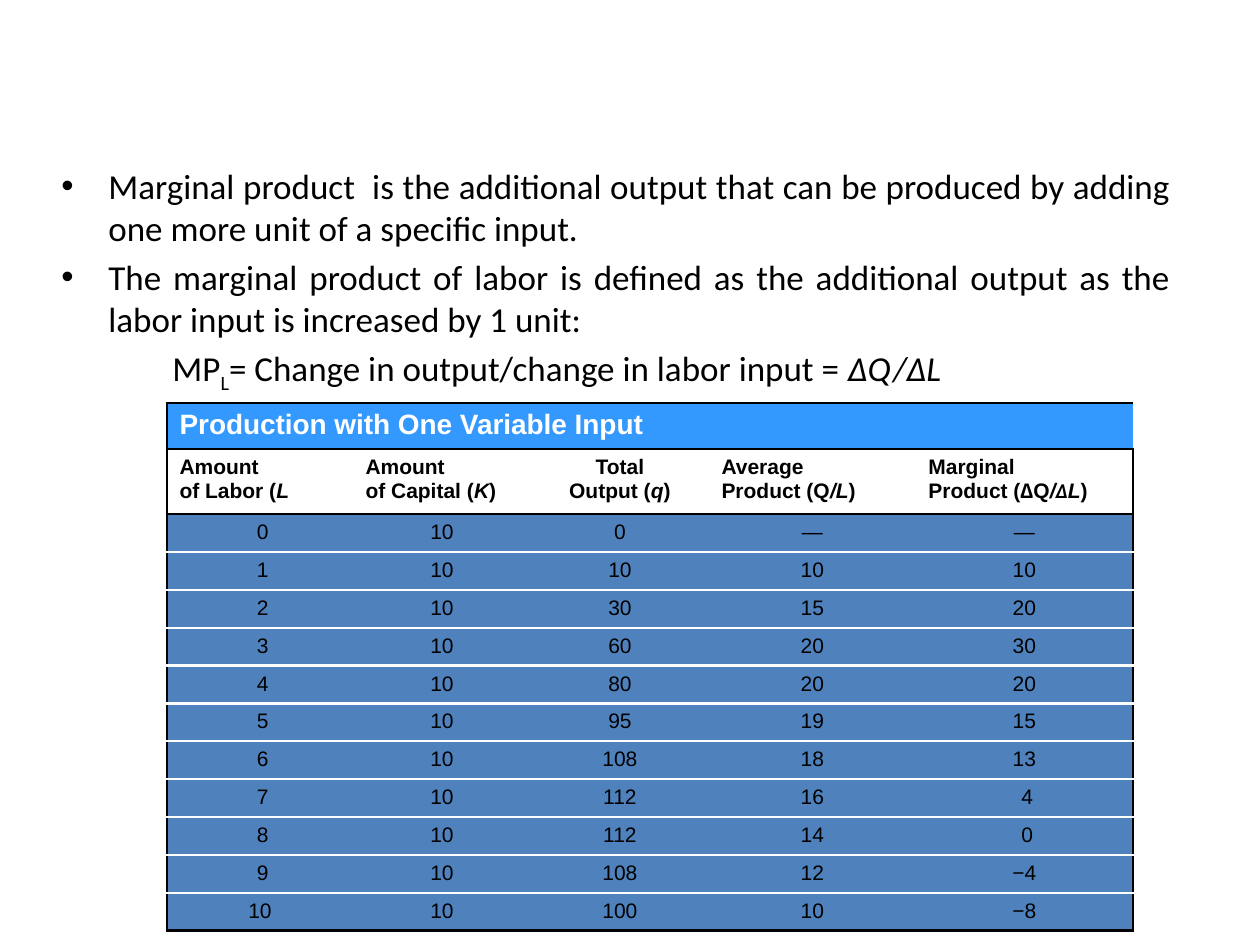
from dataclasses import dataclass

from lxml import etree
from pptx import Presentation, util as u
from pptx.dml.color import RGBColor
from pptx.enum import text
from pptx.oxml import ns

PX = u.Inches(1) // 126
PLAIN_TABLE_STYLE = "{2D5ABB26-0587-4C30-8999-92F81FD0307C}"


@dataclass(frozen=True)
class Theme:
    black: str = "000000"
    white: str = "FFFFFF"
    title_blue: str = "3399FF"
    body_blue: str = "4F81BD"
    prose_font: str = "Calibri"
    table_font: str = "Arial"
    prose_size: int = 20
    title_size: int = 16
    cell_size: int = 12


THEME = Theme()
PROSE = dict(name=THEME.prose_font, size=u.Pt(THEME.prose_size), color=THEME.black)
CELL = dict(name=THEME.table_font, size=u.Pt(THEME.cell_size), color=THEME.black)
HEADING = CELL | dict(bold=True)
TITLE = HEADING | dict(size=u.Pt(THEME.title_size), color=THEME.white)
ITALIC = dict(italic=True)

# Each run is a pair of wording and the format values that differ
DEFINITIONS = [
    "Marginal product  is the additional output that can be produced by adding "
    "one more unit of a specific input.",
    "The marginal product of labor is defined as the additional output as the "
    "labor input is increased by 1 unit:",
]
FORMULA = [("MP", {}), ("L", dict(baseline=-25000)),
           ("= Change in output/change in labor input = ", {}), ("ΔQ/ΔL", ITALIC)]

TABLE_TITLE = "Production with One Variable Input"
HEADINGS = [
    ("Amount", [("of Labor (", {}), ("L", ITALIC)]),
    ("Amount", [("of Capital (", {}), ("K", ITALIC), (")", {})]),
    ("Total", [("Output (", {}), ("q", ITALIC), (")", {})]),
    ("Average", [("Product (Q", {}), ("/L", ITALIC), (")", {})]),
    ("Marginal", [("Product (∆Q", {}), ("/", ITALIC),
                  ("∆", ITALIC | dict(name=THEME.prose_font)), ("L", ITALIC), (")", {})]),
]
CAPITAL = "10"
TOTAL = [0, 10, 30, 60, 80, 95, 108, 112, 112, 108, 100]
AVERAGE = ["—", 10, 15, 20, 20, 19, 18, 16, 14, 12, 10]
MARGINAL = ["—", 10, 20, 30, 20, 15, 13, 4, 0, "−4", "−8"]
COLUMN_WIDTHS = [186, 178, 178, 207, 217]
ROW_HEIGHTS = [44, 65] + [36] * len(TOTAL)


def add_run(paragraph, wording, style):
    run = paragraph.add_run()
    run.text = wording
    for key, value in style.items():
        if key == "color":
            run.font.color.rgb = RGBColor.from_string(value)
        elif key == "baseline":
            run.font._element.set("baseline", str(value))
        else:
            setattr(run.font, key, value)


def add_runs(paragraph, runs, style):
    for wording, changes in runs:
        add_run(paragraph, wording, style | changes)


def set_indent(paragraph, left, first, bullet=None):
    properties = paragraph._p.get_or_add_pPr()
    properties.set("marL", str(left * PX))
    properties.set("indent", str(first * PX))
    if bullet:
        etree.SubElement(properties, ns.qn("a:buFont"), typeface="Arial")
        etree.SubElement(properties, ns.qn("a:buChar"), char=bullet)


def add_prose(slide, left, top, width, height):
    box = slide.shapes.add_textbox(left * PX, top * PX, width * PX, height * PX)
    frame = box.text_frame
    frame.word_wrap = True
    for index, definition in enumerate(DEFINITIONS):
        bullet_line = frame.add_paragraph() if index else frame.paragraphs[0]
        bullet_line.alignment = text.PP_ALIGN.JUSTIFY
        bullet_line.space_before = u.Pt(4 if index else 0)
        set_indent(bullet_line, 47, -47, "•")
        add_run(bullet_line, definition, PROSE)
    formula_line = frame.add_paragraph()
    formula_line.space_before = u.Pt(4)
    set_indent(formula_line, 111, 0)
    add_runs(formula_line, FORMULA, PROSE)


def set_fill(cell, color):
    if color:
        cell.fill.solid()
        cell.fill.fore_color.rgb = RGBColor.from_string(color)
    else:
        cell.fill.background()


def set_borders(cell, borders):
    """Draw the given sides; keys are L, R, T, B and values (colour, points)."""
    properties = cell._tc.get_or_add_tcPr()
    sides = [side for side in "LRTB" if side in borders]
    for position, side in enumerate(sides):
        color, points = borders[side]
        line = etree.Element(ns.qn("a:ln" + side), w=str(u.Pt(points)))
        solid = etree.SubElement(line, ns.qn("a:solidFill"))
        etree.SubElement(solid, ns.qn("a:srgbClr"), val=color)
        properties.insert(position, line)


def cell_borders(row, column):
    last_row, last_column = len(ROW_HEIGHTS) - 1, len(COLUMN_WIDTHS) - 1
    outline, divider = (THEME.black, 1.5), (THEME.white, 1.5)
    under_title = (THEME.black, 1 if column < 2 else 1.5)
    borders = {}
    if column == 0:
        borders["L"] = outline
    if column == last_column:
        borders["R"] = outline
    if row == 0:
        borders |= {"T": outline, "B": under_title}
    elif row == 1:
        borders["T"] = under_title
    else:
        borders["B"] = outline if row == last_row else divider
        if row > 2:
            borders["T"] = divider
    return borders


def pad(value):
    wording = str(value)
    return wording.rjust(2) if wording.isdigit() else wording


def add_production_table(slide, left, top):
    frame = slide.shapes.add_table(
        len(ROW_HEIGHTS), len(COLUMN_WIDTHS), left * PX, top * PX,
        sum(COLUMN_WIDTHS) * PX, sum(ROW_HEIGHTS) * PX)
    production = frame.table
    production.first_row = production.horz_banding = False
    production._tbl.tblPr.find(ns.qn("a:tableStyleId")).text = PLAIN_TABLE_STYLE
    for column, width in zip(production.columns, COLUMN_WIDTHS):
        column.width = width * PX
    for row, height in zip(production.rows, ROW_HEIGHTS):
        row.height = height * PX

    # Fills and rules
    for row in range(len(ROW_HEIGHTS)):
        fill = {0: THEME.title_blue, 1: None}.get(row, THEME.body_blue)
        for column in range(len(COLUMN_WIDTHS)):
            cell = production.cell(row, column)
            set_fill(cell, fill)
            set_borders(cell, cell_borders(row, column))

    # Title and headings
    title = production.cell(0, 0)
    title.merge(production.cell(0, len(COLUMN_WIDTHS) - 1))
    add_run(title.text_frame.paragraphs[0], TABLE_TITLE, TITLE)
    for column, (first_line, second_line) in enumerate(HEADINGS):
        heading = production.cell(1, column).text_frame.paragraphs[0]
        if first_line == "Total":
            heading.alignment = text.PP_ALIGN.CENTER
        add_run(heading, first_line, HEADING)
        heading.add_line_break()
        add_runs(heading, second_line, HEADING)

    # Output for each amount of labor
    for labor, (total, average, marginal) in enumerate(zip(TOTAL, AVERAGE, MARGINAL)):
        amounts = [pad(labor), CAPITAL, str(total), str(average), pad(marginal)]
        for column, amount in enumerate(amounts):
            entry = production.cell(labor + 2, column).text_frame.paragraphs[0]
            entry.alignment = text.PP_ALIGN.CENTER
            add_run(entry, amount, CELL)


def main():
    deck = Presentation()
    deck.slide_width, deck.slide_height = u.Inches(10), u.Inches(7.5)
    slide = deck.slides.add_slide(deck.slide_layouts[6])
    add_prose(slide, 49, 158, 1134, 624)
    add_production_table(slide, 167, 403)
    deck.save("out.pptx")


main()
